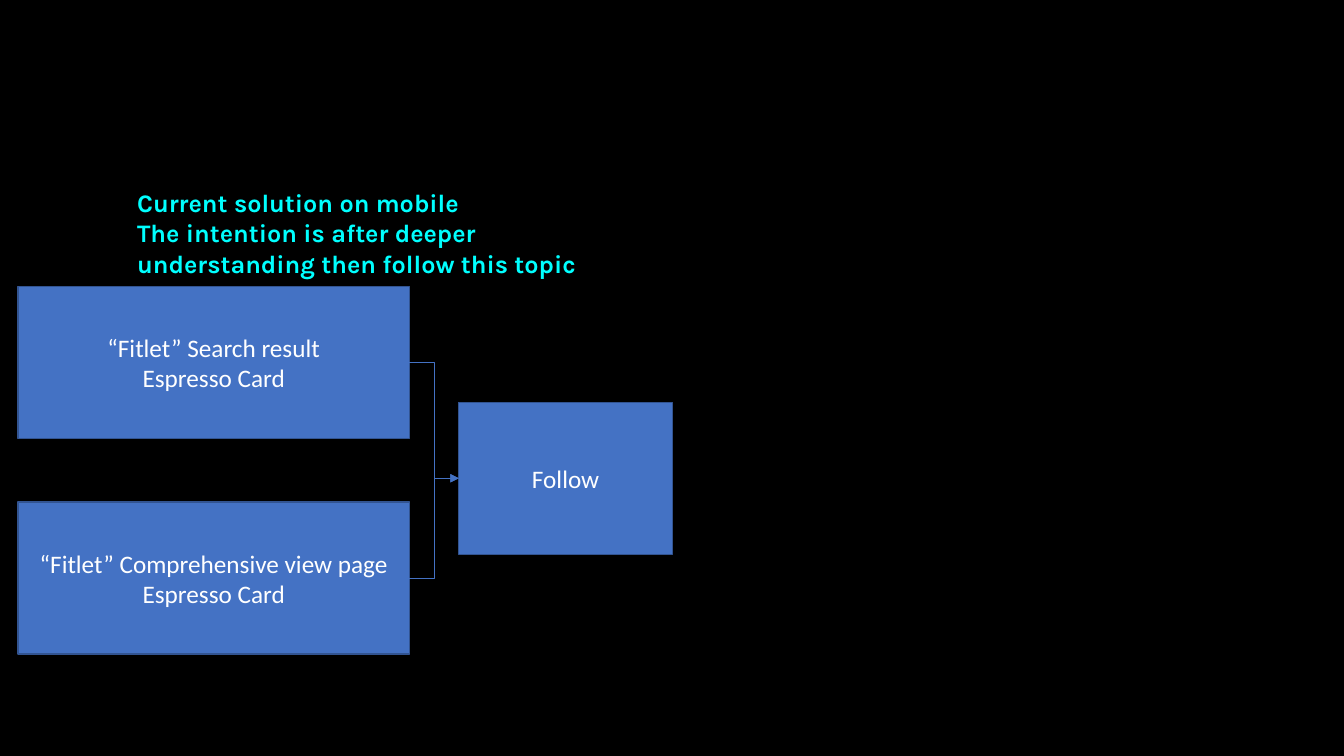
from lxml.etree import SubElement
from pptx import Presentation
from pptx.dml.color import RGBColor
from pptx.enum.shapes import MSO_CONNECTOR, MSO_SHAPE
from pptx.enum.text import MSO_ANCHOR as Anchor, MSO_AUTO_SIZE, PP_ALIGN as Align
from pptx.oxml.ns import qn
from pptx.util import Inches, Pt

WIDTH, HEIGHT = 13.33, 7.5
CARD_LEFT, CARD_TOP, CARD_WIDTH = 0.18, 2.84, 3.88
FOLLOW_LEFT, FOLLOW_TOP, FOLLOW_WIDTH = 4.55, 3.99, 2.12
BOX_HEIGHT = 1.51
CARD_PITCH = 2.14
RIGHT_SITE, LEFT_SITE = 3, 1


def rgb(color):
    return RGBColor.from_string(color)


def write(shape, lines, *, font="Calibri", size=18, color="FFFFFF", bold=False,
          align=Align.CENTER, anchor=Anchor.MIDDLE):
    """Fill a shape with one paragraph per line of text."""
    tf = shape.text_frame
    tf.word_wrap = True
    tf.auto_size = MSO_AUTO_SIZE.NONE
    tf.vertical_anchor = anchor
    tf.text = "\n".join(lines)
    for p in tf.paragraphs:
        p.alignment = align
        for r in p.runs:
            r.font.name, r.font.size, r.font.bold = font, Pt(size), bold
            r.font.color.rgb = rgb(color)


def add_heading(s, lines, left, top, width, height):
    title = s.shapes.title
    title.left, title.top = Inches(left), Inches(top)
    title.width, title.height = Inches(width), Inches(height)
    write(title, lines, font="Karla", color="00FFFF", bold=True,
          align=Align.LEFT, anchor=Anchor.TOP)


def add_box(s, lines, left, top, width):
    box = s.shapes.add_shape(MSO_SHAPE.RECTANGLE, Inches(left), Inches(top),
                             Inches(width), Inches(BOX_HEIGHT))
    box.shadow.inherit = False
    box.fill.solid()
    box.fill.fore_color.rgb = rgb("4472C4")
    box.line.color.rgb = rgb("325491")
    box.line.width = Pt(1)
    write(box, lines)
    return box


def add_arrow(s, source, target):
    """Join the right side of one box to the left side of another."""
    arrow = s.shapes.add_connector(MSO_CONNECTOR.ELBOW, 0, 0, 0, 0)
    arrow.begin_connect(source, RIGHT_SITE)
    arrow.end_connect(target, LEFT_SITE)
    arrow.line.color.rgb = rgb("4472C4")
    arrow.line.width = Pt(0.5)
    SubElement(arrow.line._get_or_add_ln(), qn("a:tailEnd"), type="triangle")
    SubElement(arrow._element.spPr, qn("a:effectLst"))


def main():
    prs = Presentation()
    prs.slide_width, prs.slide_height = Inches(WIDTH), Inches(HEIGHT)
    s = prs.slides.add_slide(prs.slide_layouts[5])
    s.background.fill.solid()
    s.background.fill.fore_color.rgb = rgb("000000")

    add_heading(s, ["Current solution on mobile",
                    "The intention is after deeper understanding then follow this topic"],
                1.26, 1.81, 4.74, 1.01)
    views = ["Search result", "Comprehensive view page"]
    cards = [add_box(s, [f"“Fitlet” {view}", "Espresso Card"],
                     CARD_LEFT, CARD_TOP + row * CARD_PITCH, CARD_WIDTH)
             for row, view in enumerate(views)]
    follow = add_box(s, ["Follow"], FOLLOW_LEFT, FOLLOW_TOP, FOLLOW_WIDTH)
    for card in cards:
        add_arrow(s, card, follow)
    prs.save("out.pptx")


if __name__ == "__main__":
    main()
